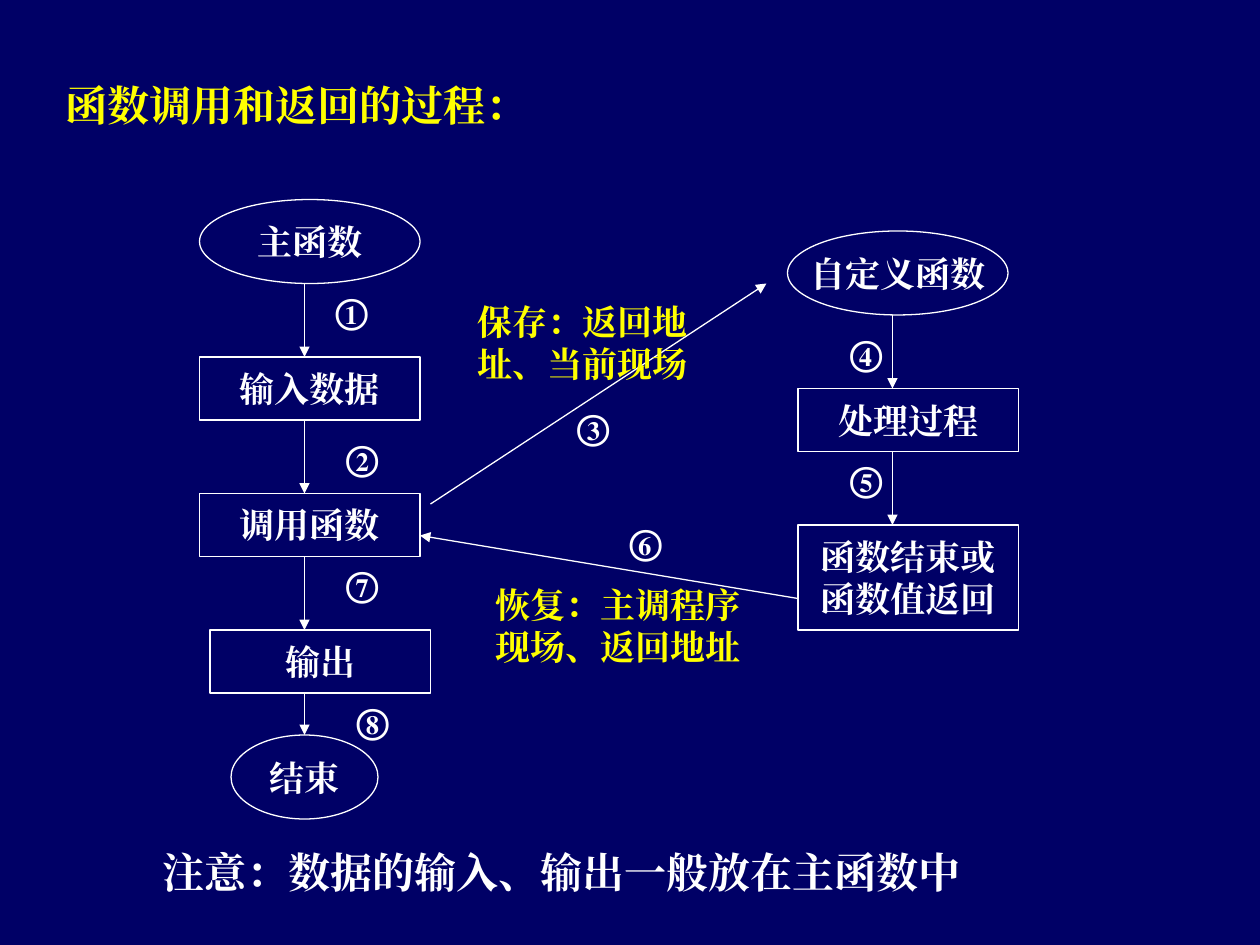
"""Build the slide on how a function call is made and returns."""
from dataclasses import dataclass

from lxml import etree
from pptx import Presentation
from pptx.dml.color import RGBColor
from pptx.enum.shapes import MSO_CONNECTOR, MSO_SHAPE
from pptx.enum.text import MSO_ANCHOR, MSO_AUTO_SIZE, PP_ALIGN
from pptx.oxml.ns import qn
from pptx.util import Pt

PX = 7620
NAVY = RGBColor(0x00, 0x00, 0x66)
WHITE = RGBColor(0xFF, 0xFF, 0xFF)
YELLOW = RGBColor(0xFF, 0xFF, 0x00)
FONT = "Times New Roman"
RECT, OVAL = MSO_SHAPE.RECTANGLE, MSO_SHAPE.OVAL
STRAIGHT = MSO_CONNECTOR.STRAIGHT
LEFT, CENTER = PP_ALIGN.LEFT, PP_ALIGN.CENTER
TOP, MIDDLE = MSO_ANCHOR.TOP, MSO_ANCHOR.MIDDLE
NO_FIT = MSO_AUTO_SIZE.NONE
MAIN_X, CUSTOM_X = 290, 850


@dataclass
class Node:
    text: str
    x: int
    y: int
    w: int = 210
    h: int = 60
    kind: MSO_SHAPE = RECT


@dataclass
class Arrow:
    x1: int
    y1: int
    x2: int
    y2: int


@dataclass
class Label:
    text: str
    x: int
    y: int
    w: int = 110
    h: int = 53
    color: RGBColor = WHITE
    size: int = 20
    align: PP_ALIGN = CENTER


END = Node("结束", 220, 700, 140, 80, OVAL)
NODES = [
    Node("主函数", 190, 190, h=80, kind=OVAL),
    Node("输入数据", 190, 340),
    Node("调用函数", 190, 470),
    Node("输出", 200, 600),
    Node("自定义函数", 750, 220, h=80, kind=OVAL),
    Node("处理过程", 760, 370),
    Node("函数结束或\n函数值返回", 760, 500, h=100),
]
ARROWS = [
    Arrow(MAIN_X, 270, MAIN_X, 340),
    Arrow(MAIN_X, 400, MAIN_X, 470),
    Arrow(MAIN_X, 530, MAIN_X, 600),
    Arrow(CUSTOM_X, 300, CUSTOM_X, 370),
    Arrow(CUSTOM_X, 430, CUSTOM_X, 500),
    Arrow(410, 480, 730, 270),
    Arrow(760, 570, 400, 510),
]
LABELS = [
    Label("注意：数据的输入、输出一般放在主函数中", 0, 800, 1070, 60, size=24),
    Label("保存：返回地址、当前现场", 440, 280, 230, 92, YELLOW),
    Label("恢复：主调程序现场、返回地址", 460, 550, 260, 92, YELLOW, align=LEFT),
    Label("①", 280, 270),
    Label("②", 290, 410),
    Label("③", 510, 380),
    Label("④", 770, 310),
    Label("⑤", 770, 430),
    Label("⑥", 560, 490),
    Label("⑦", 290, 530),
    Label("⑧", 300, 660),
]


def write(sp, text: str, size: int, color: RGBColor, align: PP_ALIGN,
          anchor: MSO_ANCHOR, wrap: bool = True) -> None:
    tf = sp.text_frame
    tf.text = text
    tf.word_wrap = wrap
    tf.auto_size = NO_FIT
    tf.vertical_anchor = anchor
    for p in tf.paragraphs:
        p.alignment = align
        for r in p.runs:
            r.font.name = FONT
            r.font.size = Pt(size)
            r.font.bold = True
            r.font.color.rgb = color
            ea = etree.SubElement(r.font._element, qn("a:ea"))
            ea.set("typeface", FONT)


def add_node(s, node: Node):
    sp = s.shapes.add_shape(node.kind, node.x * PX, node.y * PX,
                            node.w * PX, node.h * PX)
    sp.shadow.inherit = False
    sp.fill.background()
    sp.line.color.rgb = WHITE
    sp.line.width = Pt(0.75)
    write(sp, node.text, 20, WHITE, CENTER, MIDDLE, wrap=False)
    return sp


def add_arrow(s, arrow: Arrow):
    cxn = s.shapes.add_connector(STRAIGHT, arrow.x1 * PX, arrow.y1 * PX,
                                 arrow.x2 * PX, arrow.y2 * PX)
    cxn.line.color.rgb = WHITE
    cxn.line.width = Pt(0.75)
    tail = etree.SubElement(cxn.line._get_or_add_ln(), qn("a:tailEnd"))
    tail.set("type", "triangle")
    etree.SubElement(cxn._element.spPr, qn("a:effectLst"))
    return cxn


def add_label(s, label: Label) -> None:
    sp = s.shapes.add_textbox(label.x * PX, label.y * PX,
                              label.w * PX, label.h * PX)
    write(sp, label.text, label.size, label.color, label.align, TOP)


def main() -> None:
    prs = Presentation()
    prs.slide_width, prs.slide_height = 1200 * PX, 900 * PX
    s = prs.slides.add_slide(prs.slide_layouts[5])
    s.background.fill.solid()
    s.background.fill.fore_color.rgb = NAVY

    title = s.shapes.title
    title.left, title.top = 50 * PX, 70 * PX
    title.width, title.height = 700 * PX, 60 * PX
    write(title, "函数调用和返回的过程：", 24, YELLOW, LEFT, TOP)

    for node in NODES:
        add_node(s, node)
    for arrow in ARROWS:
        add_arrow(s, arrow)
    end = add_node(s, END)
    add_arrow(s, Arrow(MAIN_X, 660, MAIN_X, END.y)).end_connect(end, 0)
    for label in LABELS:
        add_label(s, label)
    prs.save("out.pptx")


if __name__ == "__main__":
    main()
